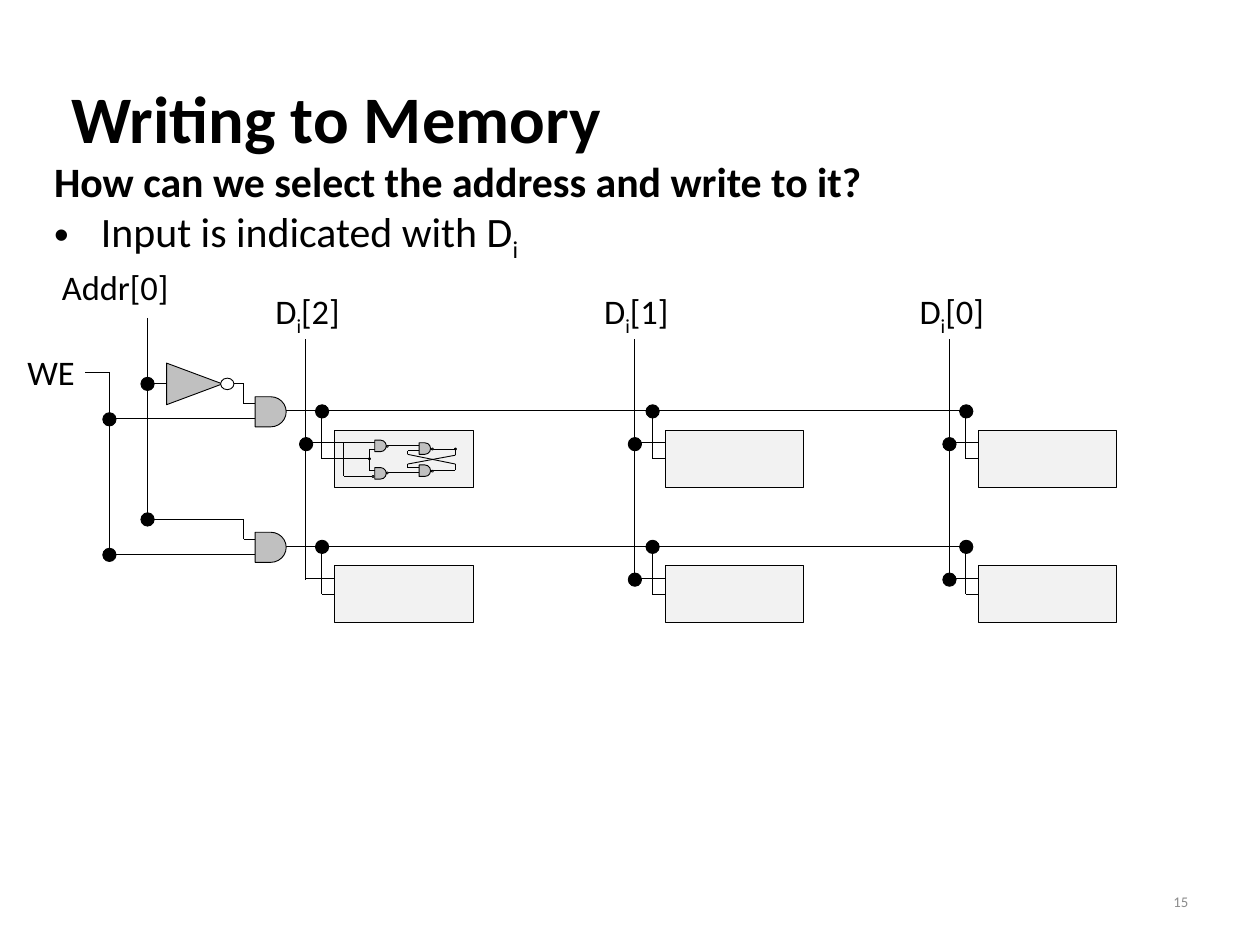
from itertools import pairwise
from lxml.etree import SubElement
from pptx import Presentation
from pptx.dml.color import RGBColor
from pptx.enum.shapes import MSO_CONNECTOR, MSO_SHAPE
from pptx.enum.text import MSO_ANCHOR, PP_ALIGN
from pptx.oxml.ns import qn
from pptx.util import Pt

PX = 9144
BLACK, WHITE, GRAY, PALE = "000000", "FFFFFF", "C0C0C0", "F2F2F2"
OVAL, GATE = MSO_SHAPE.OVAL, MSO_SHAPE.FLOWCHART_DELAY

deck = Presentation()
deck.slide_width, deck.slide_height = 1422 * PX, 1067 * PX
slide = deck.slides.add_slide(deck.slide_layouts[6])
shapes = slide.shapes


def wire(*points):
    for (x1, y1), (x2, y2) in pairwise(points):
        line = shapes.add_connector(
            MSO_CONNECTOR.STRAIGHT, x1 * PX, y1 * PX, x2 * PX, y2 * PX)
        line.line.color.rgb = RGBColor.from_string(BLACK)
        line.line.width = Pt(0.75)
        SubElement(line._element.spPr, qn("a:effectLst"))
    return line


def form(kind, x, y, w, h, fill):
    shape = shapes.add_shape(kind, x * PX, y * PX, w * PX, h * PX)
    shape.shadow.inherit = False
    shape.fill.solid()
    shape.fill.fore_color.rgb = RGBColor.from_string(fill)
    shape.line.color.rgb = RGBColor.from_string(BLACK)
    shape.line.width = Pt(0.75)
    return shape


columns = [(345, 363, 378), (716, 736, 751), (1071, 1090, 1104)]
rows = [0, 153]

wire((166, 359), (166, 586))
wire((96, 420), (123, 420), (123, 626))
for data, enable, left in columns:
    wire((data, 383), (data, 655))

for row in rows:
    wire((166, 433 + row), (275, 433 + row), (275, 456 + row), (288, 456 + row))
    wire((123, 473 + row), (288, 473 + row))
    wire((323, 464 + row), (1090, 464 + row))
    form(GATE, 288, 448 + row, 35, 34, GRAY)
    dots = [(166, 433), (123, 473)]
    for data, enable, left in columns:
        cell = form(MSO_SHAPE.RECTANGLE, left, 486 + row, 156, 64, PALE)
        wire((data, 500 + row), (left, 500 + row))
        link = wire((enable, 464 + row), (enable, 518 + row), (left, 518 + row))
        link.end_connect(cell, 1)
        dots.append((enable, 464))
        if row == 0 or data > 345:
            dots.append((data, 501))
    for x, y in dots:
        form(OVAL, x - 7, y - 7 + row, 15, 15, BLACK)

inverter = form(MSO_SHAPE.ISOSCELES_TRIANGLE, 196, 402, 47, 63, GRAY)
inverter.rotation = 90
form(OVAL, 249, 427, 15, 13, WHITE)

wire((378, 500), (423, 500))
wire((388, 500), (388, 538), (420, 538))
wire((378, 518), (417, 518))
wire((423, 507), (417, 507), (417, 531), (423, 531))
wire((438, 503), (473, 503))
wire((438, 534), (473, 534))
wire((487, 531), (514, 531), (514, 524), (460, 513), (460, 509), (473, 509))
wire((487, 507), (514, 507), (514, 514), (460, 524), (460, 528), (473, 528))
for x, y in [(423, 497), (423, 528), (473, 500), (473, 525)]:
    form(GATE, x, y, 13, 13, GRAY)
for x, y in [(436, 503), (436, 533), (487, 506), (487, 531), (420, 537)]:
    form(OVAL, x, y, 2, 2, WHITE)
for x, y in [(513, 506), (416, 517)]:
    form(OVAL, x, y, 2, 2, BLACK)

labels = [
    (71, 43, 1280, 178, 54, BLACK, [["Writing to Memory"]]),
    (47, 169, 953, 129, 34, BLACK,
     [["How can we select the address and write to it?"],
      ["Input is indicated with D", "i"]]),
    (60, 296, 142, 57, 28, BLACK, [["Addr[0]"]]),
    (21, 391, 74, 57, 28, BLACK, [["WE"]]),
    (301, 323, 94, 57, 28, BLACK, [["D", "i", "[2]"]]),
    (672, 323, 94, 57, 28, BLACK, [["D", "i", "[1]"]]),
    (1028, 323, 94, 57, 28, BLACK, [["D", "i", "[0]"]]),
    (1019, 989, 332, 57, 12, "8C8C8C", [["15"]]),
]
for x, y, w, h, size, color, lines in labels:
    frame = shapes.add_textbox(x * PX, y * PX, w * PX, h * PX).text_frame
    frame.word_wrap = w > 300
    if size in (54, 12):
        frame.vertical_anchor = MSO_ANCHOR.MIDDLE
    if size == 34:
        frame.margin_left = frame.margin_right = 14 * PX
        frame.margin_top = frame.margin_bottom = 7 * PX
    for index, parts in enumerate(lines):
        para = frame.paragraphs[0] if index == 0 else frame.add_paragraph()
        if index == 1:
            props = para._p.get_or_add_pPr()
            props.set("marL", str(53 * PX))
            props.set("indent", str(-53 * PX))
            SubElement(props, qn("a:buFont"), typeface="Arial")
            SubElement(props, qn("a:buChar"), char="•")
        if size == 12:
            para.alignment = PP_ALIGN.RIGHT
        para.font.name = "Calibri"
        para.font.size = Pt(size)
        para.font.bold = size > 30 and index == 0
        para.font.color.rgb = RGBColor.from_string(color)
        for place, part in enumerate(parts):
            run = para.add_run()
            run.text = part
            if place == 1:
                run._r.get_or_add_rPr().set("baseline", "-25000")

deck.save("out.pptx")
